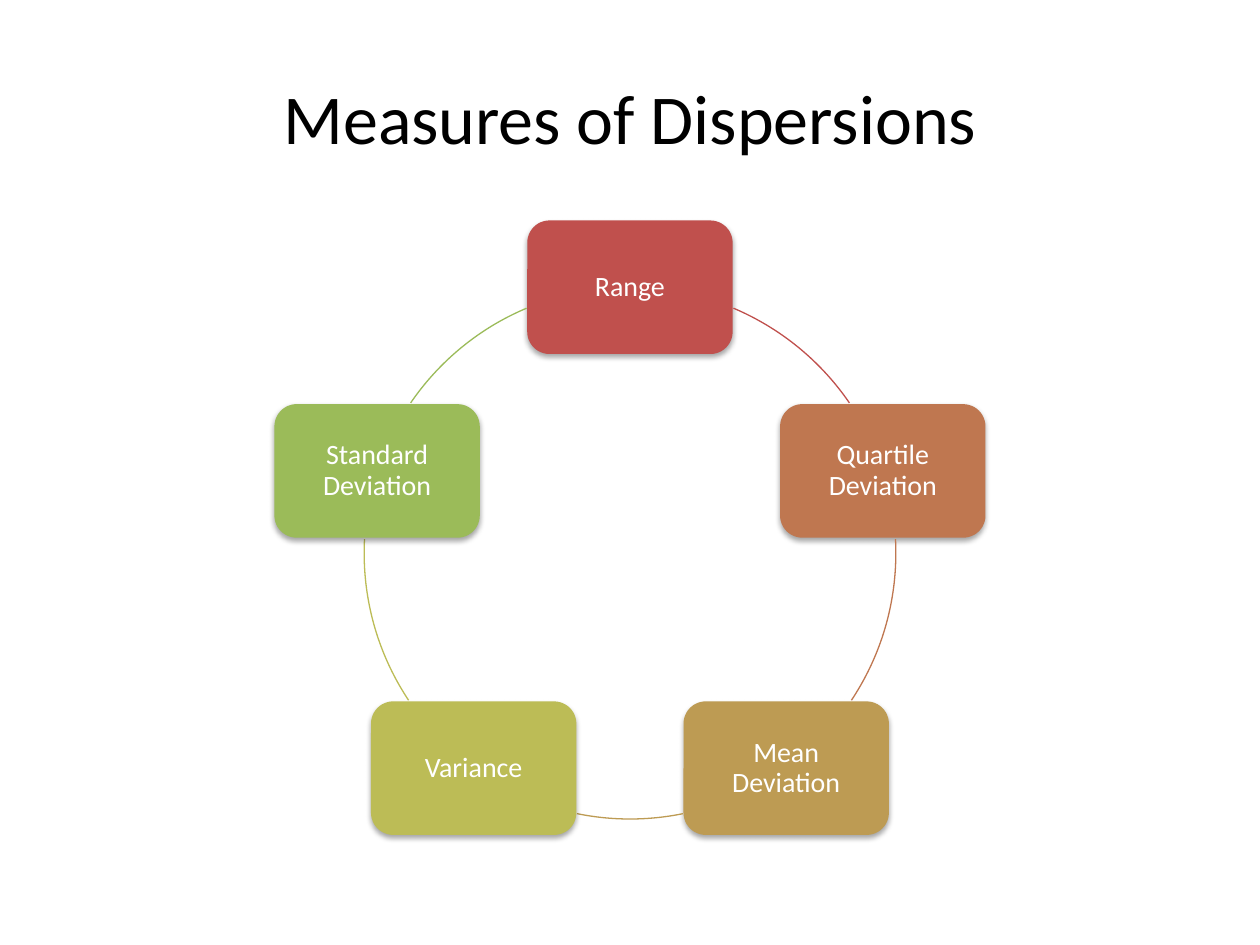
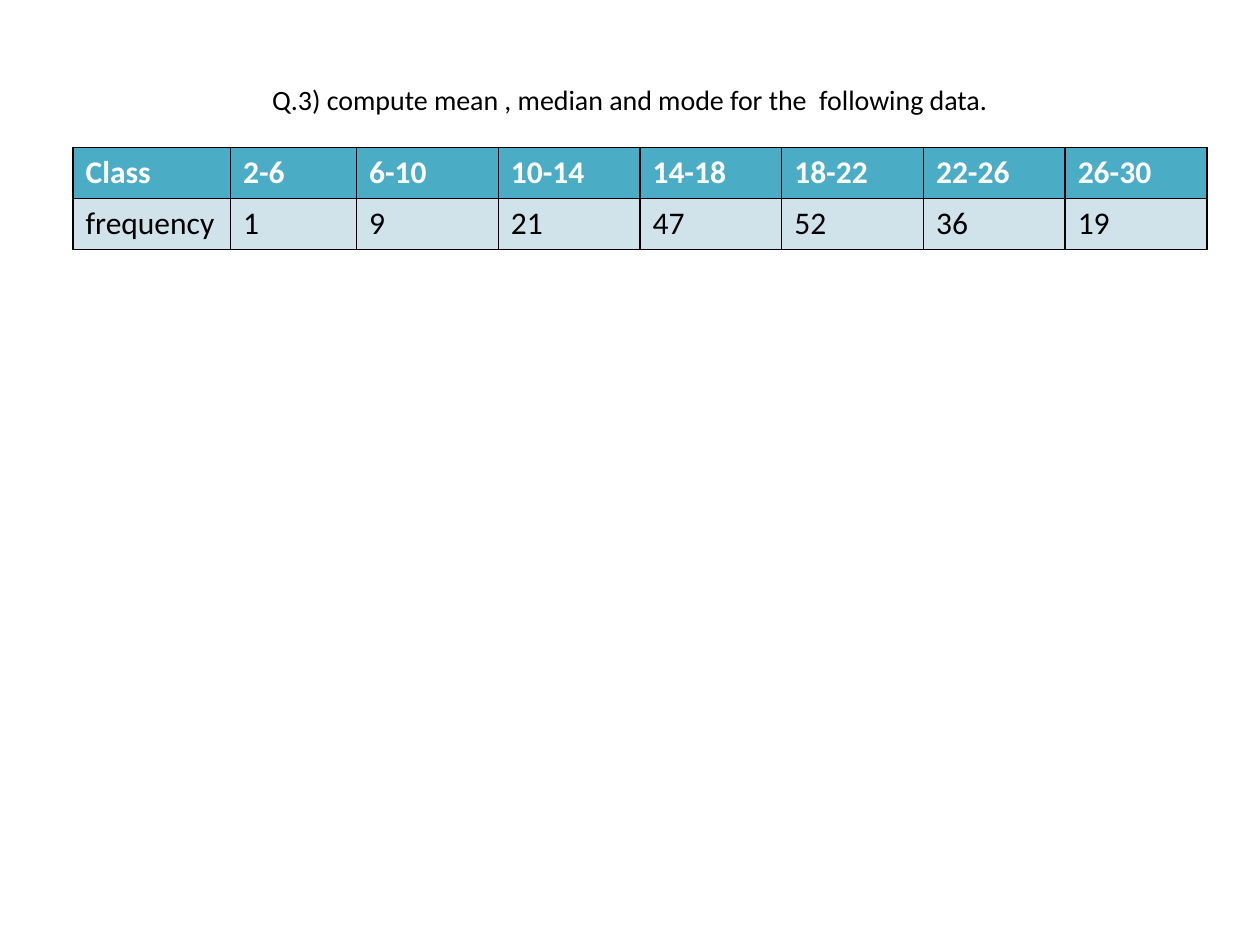
"""Two statistics slides: a cycle of dispersion measures and a frequency table."""
from dataclasses import dataclass
from math import cos, radians, sin

from lxml.etree import SubElement
from pptx import Presentation
from pptx.dml.color import RGBColor
from pptx.enum.shapes import MSO_SHAPE
from pptx.enum.text import MSO_ANCHOR, MSO_AUTO_SIZE, PP_ALIGN
from pptx.oxml import parse_xml
from pptx.oxml.ns import nsdecls, qn
from pptx.presentation import Presentation as Deck
from pptx.shapes.autoshape import Shape
from pptx.slide import Slide
from pptx.table import _Cell
from pptx.text.text import TextFrame
from pptx.util import Emu, Inches, Pt

FONT = "Calibri"
BLACK, WHITE = "000000", "FFFFFF"
HEADER_FILL, BODY_FILL = "4BACC6", "D0E3EA"
TITLE_ONLY = 5

CENTER_X, CENTER_Y, RADIUS = 5.0, 4.39, 2.11
BOX_WIDTH, BOX_HEIGHT = 1.63, 1.06


@dataclass(frozen=True)
class Measure:
    """A box on the ring and the arc after it, in clockwise degrees from the right."""
    label: str
    color: str
    arc_start: float
    arc_end: float


MEASURES = [
    Measure("Range", "C0504D", 292.9, 325.6),
    Measure("Quartile Deviation", "BF7750", 357, 33.6),
    Measure("Mean Deviation", "BD9B53", 78.5, 101.5),
    Measure("Variance", "BCBC56", 146.4, 183),
    Measure("Standard Deviation", "9BBB59", 214.4, 247.1),
]

TABLE_ROWS = [
    ["Class", "2-6", "6-10", "10-14", "14-18", "18-22", "22-26", "26-30"],
    ["frequency", "1", "9", "21", "47", "52", "36", "19"],
]
COLUMN_WIDTHS = [1.25, 1] + [6.75 / 6] * 6
ROW_HEIGHT = 0.405


def rgb(color: str) -> RGBColor:
    """Turn a hex string into a colour."""
    return RGBColor.from_string(color)


def write_text(frame: TextFrame, text: str, *, size: float, color: str = BLACK,
               bold: bool = False, align: PP_ALIGN = PP_ALIGN.LEFT,
               line_spacing: float = 1.0) -> None:
    """Write one formatted paragraph into a text frame."""
    paragraph = frame.paragraphs[0]
    paragraph.alignment = align
    paragraph.line_spacing = line_spacing
    run = paragraph.add_run()
    run.text = text
    run.font.name = FONT
    run.font.size = Pt(size)
    run.font.bold = bold
    run.font.color.rgb = rgb(color)


def add_titled_slide(presentation: Deck, title: str, *, size: float,
                     bottom_inset: float = 0.05) -> Slide:
    """Add a title-only slide with a centred title."""
    slide = presentation.slides.add_slide(presentation.slide_layouts[TITLE_ONLY])
    placeholder = slide.shapes.title
    placeholder.left, placeholder.top = Inches(0.5), Inches(0.3)
    placeholder.width, placeholder.height = Inches(9), Inches(1.25)
    frame = placeholder.text_frame
    frame.auto_size = MSO_AUTO_SIZE.NONE
    frame.word_wrap = True
    frame.vertical_anchor = MSO_ANCHOR.MIDDLE
    frame.margin_bottom = Inches(bottom_inset)
    write_text(frame, title, size=size, align=PP_ALIGN.CENTER)
    return slide


def add_soft_shadow(shape: Shape) -> None:
    """Give a shape a soft shadow falling straight down."""
    shape.shadow.inherit = False
    effects = shape.element.spPr.find(qn("a:effectLst"))
    shadow = SubElement(effects, qn("a:outerShdw"), blurRad=str(Pt(3.1)),
                        dist=str(Pt(1.8)), dir="5400000", rotWithShape="0")
    color = SubElement(shadow, qn("a:srgbClr"), val=BLACK)
    SubElement(color, qn("a:alpha"), val="35000")


def add_box(slide: Slide, measure: Measure, angle: float) -> None:
    """Draw a measure's rounded box centred on the ring at an angle."""
    left = CENTER_X + RADIUS * cos(radians(angle)) - BOX_WIDTH / 2
    top = CENTER_Y + RADIUS * sin(radians(angle)) - BOX_HEIGHT / 2
    box = slide.shapes.add_shape(MSO_SHAPE.ROUNDED_RECTANGLE, Inches(left), Inches(top),
                                 Inches(BOX_WIDTH), Inches(BOX_HEIGHT))
    box.fill.solid()
    box.fill.fore_color.rgb = rgb(measure.color)
    box.line.fill.background()
    add_soft_shadow(box)
    frame = box.text_frame
    frame.word_wrap = True
    frame.vertical_anchor = MSO_ANCHOR.MIDDLE
    frame.margin_left = frame.margin_right = Inches(0.12)
    frame.margin_top = frame.margin_bottom = Inches(0.12)
    write_text(frame, measure.label, size=16, color=WHITE,
               align=PP_ALIGN.CENTER, line_spacing=0.9)


def add_arc(slide: Slide, measure: Measure) -> None:
    """Draw the piece of the ring that follows a measure's box."""
    arc = slide.shapes.add_shape(MSO_SHAPE.ARC, Inches(CENTER_X - RADIUS),
                                 Inches(CENTER_Y - RADIUS),
                                 Inches(2 * RADIUS), Inches(2 * RADIUS))
    # Angles are stored in 60000ths of a degree, adjustments in 100000ths.
    arc.adjustments[0] = measure.arc_start * 0.6
    arc.adjustments[1] = measure.arc_end * 0.6
    arc.shadow.inherit = False
    arc.fill.background()
    arc.line.color.rgb = rgb(measure.color)
    arc.line.width = Pt(0.75)


def add_borders(cell: _Cell, color: str, width: float) -> None:
    """Draw all four borders of a table cell."""
    properties = cell._tc.get_or_add_tcPr()
    for side in ("lnL", "lnR", "lnT", "lnB"):
        properties.append(parse_xml(
            f'<a:{side} {nsdecls("a")} w="{Pt(width)}"><a:solidFill>'
            f'<a:srgbClr val="{color}"/></a:solidFill></a:{side}>'))


def add_frequency_table(slide: Slide) -> None:
    """Draw the table of classes and frequencies."""
    table = slide.shapes.add_table(
        len(TABLE_ROWS), len(COLUMN_WIDTHS), Inches(0.58), Inches(1.17),
        Inches(sum(COLUMN_WIDTHS)), Inches(ROW_HEIGHT * len(TABLE_ROWS))).table
    for column, width in zip(table.columns, COLUMN_WIDTHS):
        column.width = Inches(width)
    for row_index, values in enumerate(TABLE_ROWS):
        header = row_index == 0
        table.rows[row_index].height = Inches(ROW_HEIGHT)
        for column_index, value in enumerate(values):
            cell = table.cell(row_index, column_index)
            add_borders(cell, BLACK, 1)
            cell.fill.solid()
            cell.fill.fore_color.rgb = rgb(HEADER_FILL if header else BODY_FILL)
            write_text(cell.text_frame, value, size=18, bold=header,
                       color=WHITE if header else BLACK)


def add_dispersion_slide(presentation: Deck) -> None:
    """Build the ring of dispersion measures."""
    slide = add_titled_slide(presentation, "Measures of Dispersions", size=40)
    for index, measure in enumerate(MEASURES):
        add_box(slide, measure, -90 + index * 360 / len(MEASURES))
        add_arc(slide, measure)


def add_question_slide(presentation: Deck) -> None:
    """Build the exercise with its frequency table."""
    slide = add_titled_slide(
        presentation, "Q.3) compute mean , median and mode for the  following data.",
        size=16, bottom_inset=0.32)
    add_frequency_table(slide)


def main() -> None:
    """Build and save the presentation."""
    presentation = Presentation()
    presentation.slide_width, presentation.slide_height = Inches(10), Inches(7.5)
    add_dispersion_slide(presentation)
    add_question_slide(presentation)
    presentation.save("out.pptx")


main()
